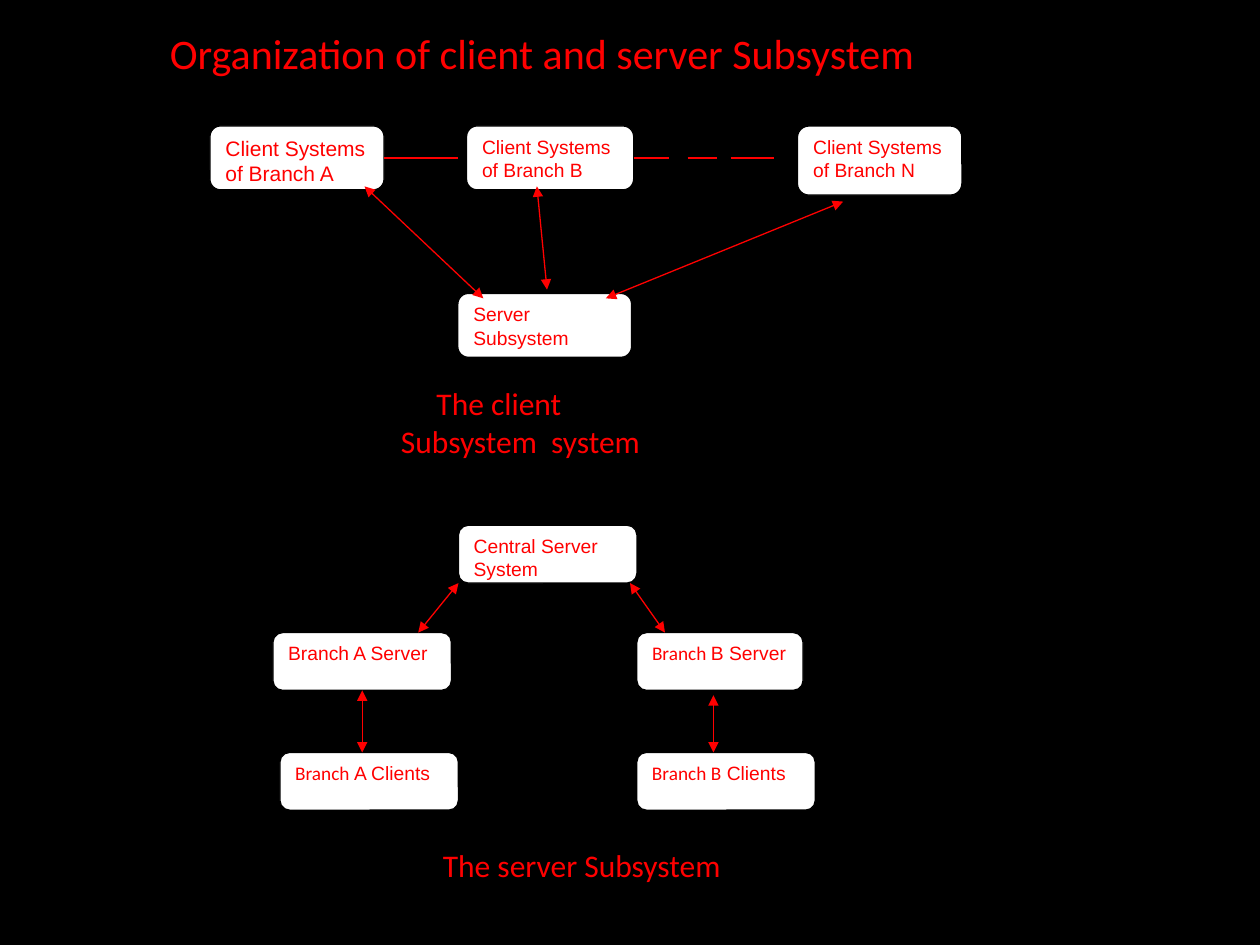
from dataclasses import dataclass
from typing import Optional

from lxml import etree
from pptx import Presentation
from pptx.dml.color import RGBColor
from pptx.enum import shapes, text
from pptx.oxml import ns
from pptx.util import Pt


@dataclass(frozen=True)
class Theme:
    background: RGBColor = RGBColor(0, 0, 0)
    accent: RGBColor = RGBColor(255, 0, 0)
    box_fill: RGBColor = RGBColor(255, 255, 255)
    box_line: RGBColor = RGBColor(0, 0, 0)
    sans: str = "Arial"
    body: str = "Calibri"
    title: float = 24
    caption: float = 18
    large_label: float = 12
    label: float = 11
    line: float = 0.75


THEME = Theme()


@dataclass(frozen=True)
class Run:
    text: str
    font: str = THEME.sans


@dataclass(frozen=True)
class Box:
    key: str
    left: float
    top: float
    width: float
    height: float
    lines: tuple[tuple[Run, ...], ...]
    size: float = THEME.label
    space_after: float = 10


@dataclass(frozen=True)
class Link:
    x1: float
    y1: float
    x2: float
    y2: float
    arrows: bool = True
    start: Optional[str] = None  # key of the box it is joined to
    side: int = 0


@dataclass(frozen=True)
class Caption:
    left: float
    top: float
    width: float
    height: float
    text: str
    size: float = THEME.caption
    indent: float = 0


def one_line(*runs: Run) -> tuple[tuple[Run, ...], ...]:
    return (runs,)


def add_run(p, run: Run, size: float) -> None:
    r = p.add_run()
    r.text = run.text
    r.font.name = run.font
    r.font.size = Pt(size)
    r.font.color.rgb = THEME.accent


def draw_box(slide, box: Box):
    sp = slide.shapes.add_shape(
        shapes.MSO_SHAPE.ROUNDED_RECTANGLE,
        Pt(box.left), Pt(box.top), Pt(box.width), Pt(box.height))
    sp.shadow.inherit = False
    sp.fill.solid()
    sp.fill.fore_color.rgb = THEME.box_fill
    sp.line.color.rgb = THEME.box_line
    sp.line.width = Pt(THEME.line)
    tf = sp.text_frame
    tf.word_wrap = True
    tf.vertical_anchor = text.MSO_ANCHOR.TOP
    for i, line in enumerate(box.lines):
        p = tf.add_paragraph() if i else tf.paragraphs[0]
        p.alignment = text.PP_ALIGN.LEFT
        p.space_after = Pt(box.space_after)
        for run in line:
            add_run(p, run, box.size)
    return sp


def draw_link(slide, link: Link, boxes: dict) -> None:
    cx = slide.shapes.add_connector(
        shapes.MSO_CONNECTOR.STRAIGHT,
        Pt(link.x1), Pt(link.y1), Pt(link.x2), Pt(link.y2))
    if link.start:
        cx.begin_connect(boxes[link.start], link.side)
    cx.line.color.rgb = THEME.accent
    cx.line.width = Pt(THEME.line)
    if link.arrows:
        ln = cx.line._get_or_add_ln()
        for end in ("a:headEnd", "a:tailEnd"):
            etree.SubElement(ln, ns.qn(end), type="triangle")
    etree.SubElement(cx._element.spPr, ns.qn("a:effectLst"))


def draw_caption(slide, caption: Caption) -> None:
    sp = slide.shapes.add_textbox(
        Pt(caption.left), Pt(caption.top), Pt(caption.width), Pt(caption.height))
    tf = sp.text_frame
    tf.word_wrap = True
    tf.auto_size = text.MSO_AUTO_SIZE.SHAPE_TO_FIT_TEXT
    p = tf.paragraphs[0]
    if caption.indent:
        p._p.get_or_add_pPr().set("indent", str(Pt(caption.indent)))
    add_run(p, Run(caption.text, THEME.body), caption.size)


# Client subsystem: a row of branches above one server
ROW, AXIS = 72, 90.25
CLIENT_BOXES = [
    Box("Client A", 120, ROW, 99.5, 36.5,
        one_line(Run("Client Systems of Branch A")), THEME.large_label),
    Box("Client N", 455.7, ROW, 94, 39.5, one_line(Run("Client Systems of Branch N"))),
    Box("Client B", 266.6, ROW, 95.5, 36.5, one_line(Run("Client Systems of Branch B"))),
    Box("Server", 261.6, 167.7, 99.3, 36.5, one_line(Run("Server Subsystem"))),
]
CLIENT_LINKS = [
    Link(219.5, AXIS, 261.5, AXIS, False, "Client A", 3),
    Link(362.1, AXIS, 382.5, AXIS, False, "Client B", 3),
    Link(393, AXIS, 409.5, AXIS, False),
    Link(417.5, AXIS, 442.5, AXIS, False),
    Link(208.3, 106.5, 276.2, 170.5),
    Link(306.8, 106.5, 312.6, 165.5),
    Link(481.8, 115.2, 346.2, 170.5),
]

# Server subsystem: central server, branch servers, branch clients
CENTRAL, SERVERS, CLIENTS = 300.2, 361.5, 430
WIDE, HIGH = 102, 33
BRANCH = Run("Branch ", THEME.body)
SERVER_BOXES = [
    Box("Central Server", 262, CENTRAL, WIDE, HIGH,
        ((Run("Central Server"),), (Run("System"),)), space_after=0),
    Box("Server A", 156, SERVERS, WIDE, HIGH, one_line(Run("Branch A Server"))),
    Box("Server B", 363.9, SERVERS, 95, HIGH, one_line(BRANCH, Run("B Server"))),
    Box("Clients A", 160, CLIENTS, WIDE, HIGH, one_line(BRANCH, Run("A Clients"))),
    Box("Clients B", 363.9, CLIENTS, WIDE, HIGH,
        one_line(Run("Branch B", THEME.body), Run(" Clients"))),
]
SERVER_LINKS = [
    Link(262, CENTRAL + HIGH, 239, SERVERS),
    Link(360, CENTRAL + HIGH, 380, SERVERS),
    Link(207, SERVERS + HIGH, 207, CLIENTS, True, "Server A", 2),
    Link(407.7, 397.3, 407.7, CLIENTS),
]

CAPTIONS = [
    Caption(222, 216, 162, 51, "The client Subsystem  system", indent=20.3),
    Caption(246, 480, 174, 29, "The server Subsystem"),
    Caption(90, 12, 498, 36, "Organization of client and server Subsystem", THEME.title),
]


def main() -> None:
    prs = Presentation()
    prs.slide_width, prs.slide_height = Pt(720), Pt(540)
    slide = prs.slides.add_slide(prs.slide_layouts[6])
    slide.background.fill.solid()
    slide.background.fill.fore_color.rgb = THEME.background

    # Boxes first, so that the arrowheads lie on top
    boxes = {box.key: draw_box(slide, box) for box in CLIENT_BOXES + SERVER_BOXES}
    for link in CLIENT_LINKS + SERVER_LINKS:
        draw_link(slide, link, boxes)
    for caption in CAPTIONS:
        draw_caption(slide, caption)
    prs.save("out.pptx")


if __name__ == "__main__":
    main()
